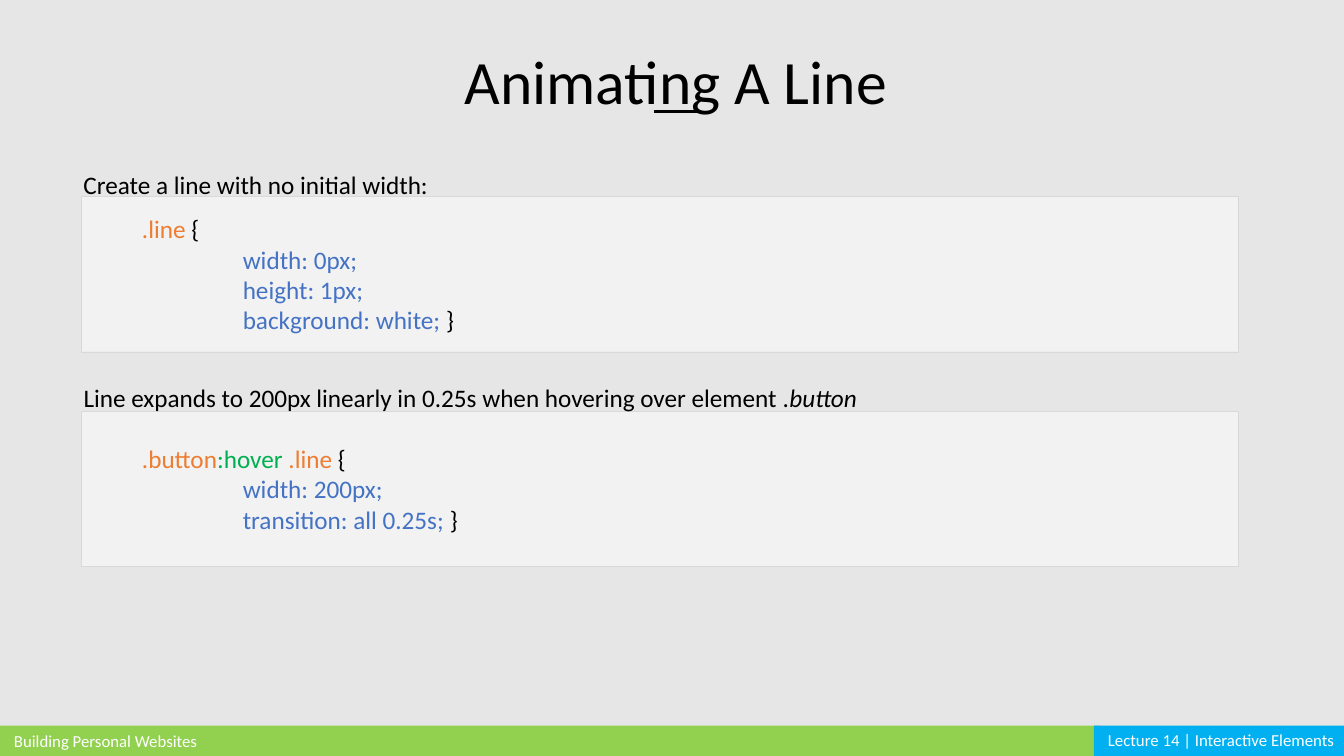
from dataclasses import dataclass

from lxml.etree import SubElement
from pptx import Presentation
from pptx.dml.color import RGBColor
from pptx.enum.shapes import MSO_CONNECTOR, MSO_SHAPE
from pptx.enum.text import MSO_ANCHOR, PP_ALIGN
from pptx.oxml.ns import qn
from pptx.shapes.autoshape import Shape
from pptx.text.text import TextFrame
from pptx.util import Inches, Pt

BLACK = "000000"
WHITE = "FFFFFF"
SELECTOR = "ED7D31"
STATE = "00B050"
PROPERTY = "4472C4"
RULE_INDENT = 0.5
DECLARATION_INDENT = 1.5


@dataclass(frozen=True)
class Span:
    text: str
    color: str = BLACK
    italic: bool = False


@dataclass(frozen=True)
class Line:
    spans: list[Span]
    indent: float = 0


@dataclass(frozen=True)
class Label:
    left: float
    top: float
    width: float
    height: float
    spans: list[Span]
    size: int
    spacing: float = 1
    align: PP_ALIGN = PP_ALIGN.LEFT
    wrap: bool = True


@dataclass(frozen=True)
class Bar:
    left: float
    width: float
    color: str


@dataclass(frozen=True)
class Example:
    top: float
    caption_top: float
    caption_width: float
    caption: list[Span]
    code: list[Line]


def rgb(color: str) -> RGBColor:
    return RGBColor.from_string(color)


def write(frame: TextFrame, lines: list[Line], size: int,
          align: PP_ALIGN = PP_ALIGN.LEFT, spacing: float = 1) -> None:
    for index, line in enumerate(lines):
        para = frame.add_paragraph() if index else frame.paragraphs[0]
        para.alignment = align
        para.line_spacing = spacing
        if line.indent:
            properties = para._p.get_or_add_pPr()
            properties.set("marL", str(Inches(line.indent)))
            properties.set("indent", "0")
        for span in line.spans:
            run = para.add_run()
            run.text = span.text
            run.font.name = "Calibri"
            run.font.size = Pt(size)
            run.font.color.rgb = rgb(span.color)
            run.font.italic = span.italic


def add_label(label: Label) -> None:
    box = page.shapes.add_textbox(Inches(label.left), Inches(label.top),
                                  Inches(label.width), Inches(label.height))
    box.text_frame.word_wrap = label.wrap
    write(box.text_frame, [Line(label.spans)], label.size, label.align, label.spacing)


def add_panel(left: float, top: float, width: float, height: float, color: str) -> Shape:
    panel = page.shapes.add_shape(MSO_SHAPE.RECTANGLE, Inches(left), Inches(top),
                                  Inches(width), Inches(height))
    panel.shadow.inherit = False
    panel.fill.solid()
    panel.fill.fore_color.rgb = rgb(color)
    panel.line.fill.background()
    return panel


def add_example(example: Example) -> None:
    panel = add_panel(0.81, example.top, 11.47, 1.54, "F2F2F2")
    panel.line.color.rgb = rgb("D9D9D9")
    panel.line.width = Pt(0.25)
    panel.text_frame.word_wrap = True
    panel.text_frame.vertical_anchor = MSO_ANCHOR.MIDDLE
    write(panel.text_frame, example.code, 18)
    add_label(Label(0.73, example.caption_top, example.caption_width, 0.51,
                    example.caption, 18, spacing=1.5, wrap=False))


def rule(selectors: list[Span], declarations: list[str]) -> list[Line]:
    lines = [Line([*selectors, Span("{")], RULE_INDENT)]
    for text in declarations[:-1]:
        lines.append(Line([Span(text, PROPERTY)], DECLARATION_INDENT))
    closing = [Span(f"{declarations[-1]} ", PROPERTY), Span("}")]
    return [*lines, Line(closing, DECLARATION_INDENT)]


deck = Presentation()
deck.slide_width = Inches(13.33)
deck.slide_height = Inches(7.5)
page = deck.slides.add_slide(deck.slide_layouts[6])
page.background.fill.solid()
page.background.fill.fore_color.rgb = rgb("E7E6E6")

footer_bars = [Bar(0, 10.91, "92D050"), Bar(10.85, 2.48, "00B0F0")]
for bar in footer_bars:
    add_panel(bar.left, 7.2, bar.width, 0.3, bar.color)

labels = [
    Label(0.04, 7.2, 2.93, 0.3, [Span("Building Personal Websites", WHITE)], 12),
    Label(10.89, 7.19, 2.93, 0.3, [Span("Lecture 14 | Interactive Elements", WHITE)], 12),
    Label(3.8, 0.01, 5.81, 1.1, [Span("Animating A Line")], 44, 1.5, PP_ALIGN.CENTER),
]
for label in labels:
    add_label(label)

underline = page.shapes.add_connector(MSO_CONNECTOR.STRAIGHT, Inches(6.49), Inches(1.11),
                                      Inches(6.94), Inches(1.11))
underline.line.color.rgb = rgb(BLACK)
underline.line.width = Pt(2.25)
SubElement(underline._element.spPr, qn("a:effectLst"))

examples = [
    Example(1.95, 1.48, 3.67, [Span("Create a line with no initial width:")],
            rule([Span(".line ", SELECTOR)],
                 ["width: 0px;", "height: 1px;", "background: white;"])),
    Example(4.08, 3.59, 7.98,
            [Span("Line expands to 200px linearly in 0.25s when hovering over element "),
             Span(".button", italic=True)],
            rule([Span(".button", SELECTOR), Span(":hover", STATE), Span(" .line ", SELECTOR)],
                 ["width: 200px;", "transition: all 0.25s;"])),
]
for example in examples:
    add_example(example)

deck.save("out.pptx")
